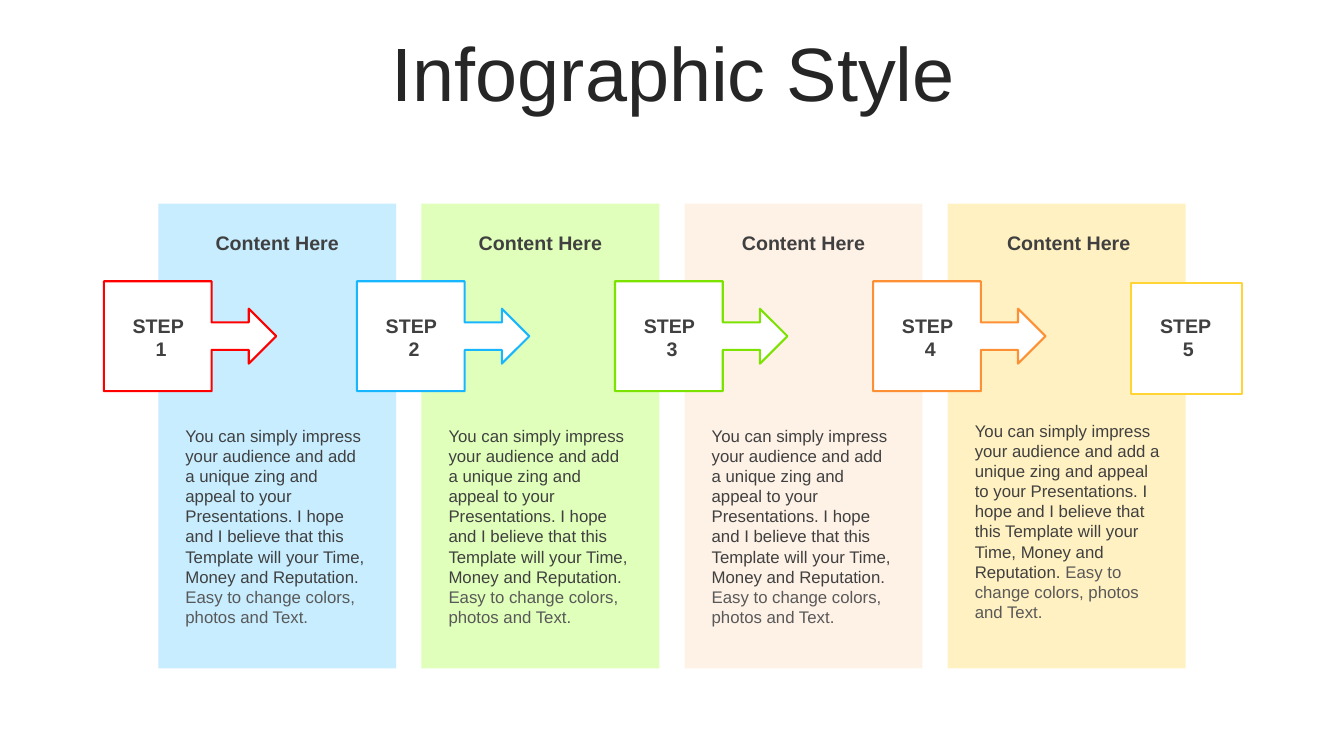
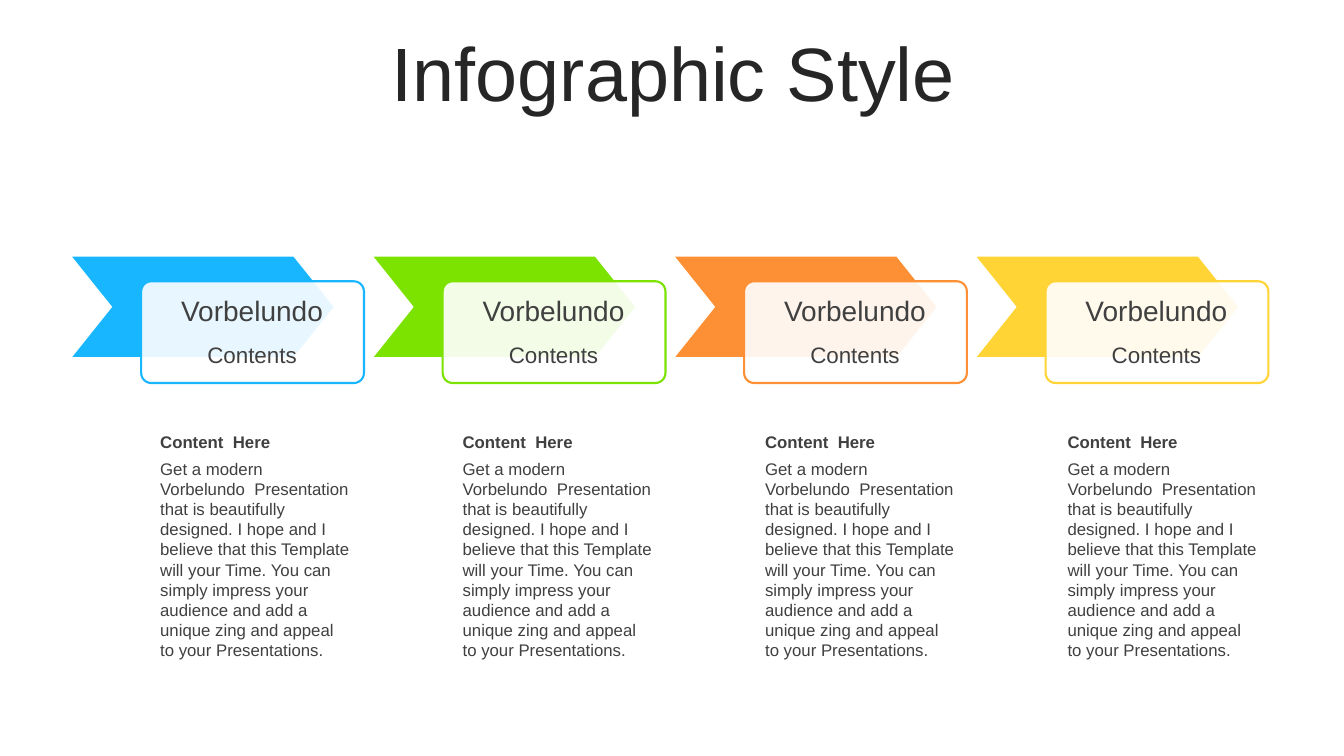
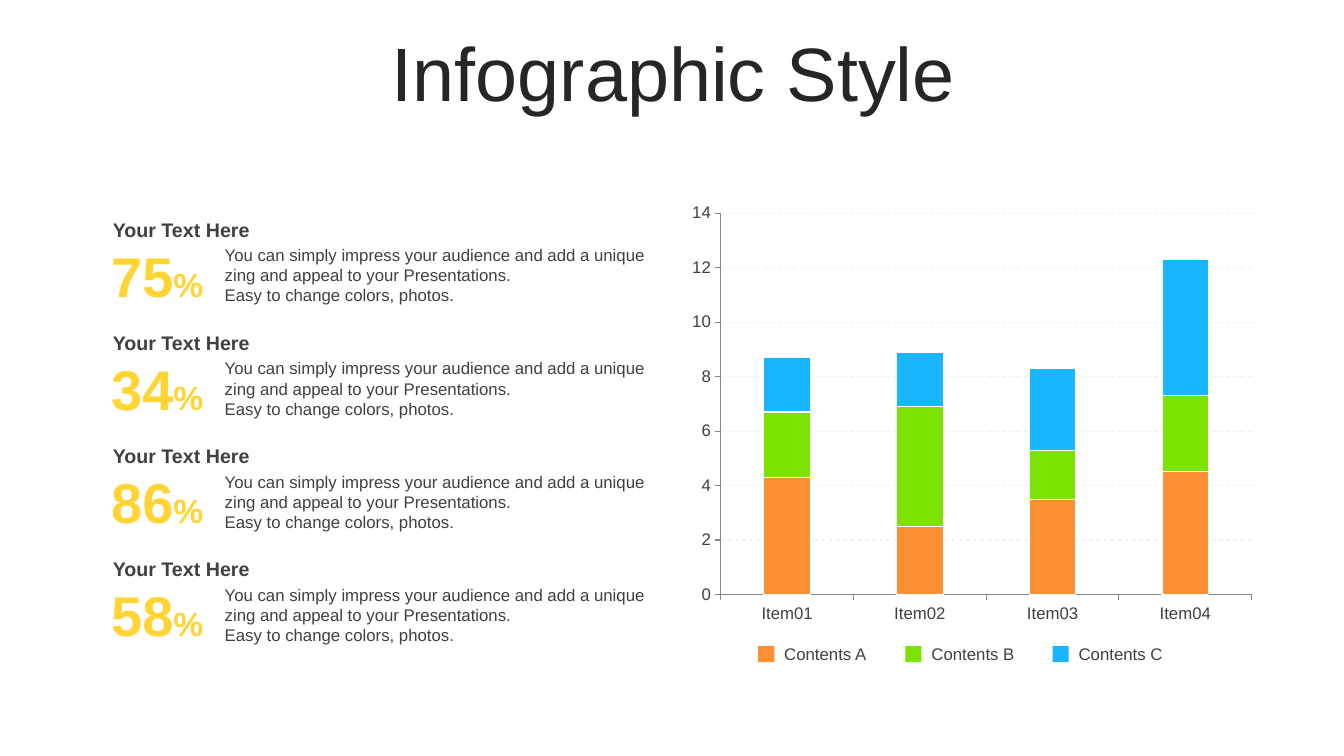
import dataclasses
from typing import Optional

import lxml.etree
import pptx
import pptx.chart.data
import pptx.dml.color
import pptx.enum.chart
import pptx.enum.dml
import pptx.enum.shapes
import pptx.enum.text
import pptx.oxml.ns
import pptx.util

Inches = pptx.util.Inches
Pt = pptx.util.Pt
SHAPES = pptx.enum.shapes.MSO_SHAPE
ALIGN = pptx.enum.text.PP_ALIGN
ANCHOR = pptx.enum.text.MSO_ANCHOR

FONT = "Arial"
COLORS = {
    "title": "262626", "text": "404040", "soft_text": "595959", "white": "FFFFFF",
    "red": "FF0000", "blue": "17B6FF", "green": "7CE200", "orange": "FD9034",
    "yellow": "FFD434", "pale_blue": "A2E2FF", "pale_green": "CCFF8D",
    "pale_orange": "FEBC85", "pale_yellow": "FFE585", "axis": "878787", "grid": "F2F2F2",
}


@dataclasses.dataclass(frozen=True)
class Box:
    left: float
    top: float
    width: float
    height: float

    def lengths(self) -> tuple:
        return tuple(Inches(value) for value in dataclasses.astuple(self))


@dataclasses.dataclass(frozen=True)
class Run:
    text: str
    size: float = 12
    color: str = "text"
    bold: bool = False
    outlined: bool = False


@dataclasses.dataclass(frozen=True)
class Card:
    color: str
    opacity: int
    heading_left: float
    body: Box


@dataclasses.dataclass(frozen=True)
class Step:
    left: float
    color: str


# Shared drawing
def rgb(color: str) -> pptx.dml.color.RGBColor:
    return pptx.dml.color.RGBColor.from_string(COLORS[color])


def style_font(font, size: float, color: str, bold: bool = False) -> None:
    font.name = FONT
    font.size = Pt(size)
    font.bold = bold
    font.color.rgb = rgb(color)


def add_runs(paragraph, runs: list[Run]) -> None:
    for item in runs:
        run = paragraph.add_run()
        run.text = item.text
        style_font(run.font, item.size, item.color, item.bold)
        if item.outlined:
            outline = lxml.etree.Element(pptx.oxml.ns.qn("a:ln"), w=str(Pt(0.75)))
            fill = lxml.etree.SubElement(outline, pptx.oxml.ns.qn("a:solidFill"))
            lxml.etree.SubElement(fill, pptx.oxml.ns.qn("a:srgbClr"), val=COLORS["white"])
            run.font._element.insert(0, outline)


def add_text(slide, box: Box, paragraphs: list[list[Run]], align=ALIGN.LEFT,
             anchor=ANCHOR.TOP, inset: Optional[float] = None) -> None:
    frame = slide.shapes.add_textbox(*box.lengths()).text_frame
    frame.word_wrap = True
    frame.auto_size = pptx.enum.text.MSO_AUTO_SIZE.SHAPE_TO_FIT_TEXT
    frame.vertical_anchor = anchor
    if inset is not None:
        frame.margin_left = frame.margin_right = Inches(inset)
        frame.margin_top = frame.margin_bottom = Inches(inset)
    for index, runs in enumerate(paragraphs):
        paragraph = frame.add_paragraph() if index else frame.paragraphs[0]
        paragraph.alignment = align
        add_runs(paragraph, runs)


def add_shape(slide, kind, box: Box, fill: str, opacity: int = 100,
              line: Optional[str] = None, line_width: float = 1.5,
              adjustments: tuple[float, ...] = ()) -> None:
    shape = slide.shapes.add_shape(kind, *box.lengths())
    shape.shadow.inherit = False
    for index, value in enumerate(adjustments):
        shape.adjustments[index] = value
    shape.fill.solid()
    shape.fill.fore_color.rgb = rgb(fill)
    if opacity < 100:
        tint = shape._element.spPr.find(".//" + pptx.oxml.ns.qn("a:srgbClr"))
        lxml.etree.SubElement(tint, pptx.oxml.ns.qn("a:alpha"), val=str(opacity * 1000))
    if line is None:
        shape.line.fill.background()
    else:
        shape.line.color.rgb = rgb(line)
        shape.line.width = Pt(line_width)


def add_titled_slide(deck):
    slide = deck.slides.add_slide(deck.slide_layouts[5])
    title = slide.shapes.title
    title.left, title.top, title.width, title.height = Box(0.35, 0.37, 12.66, 0.79).lengths()
    frame = title.text_frame
    frame.word_wrap = True
    frame.auto_size = pptx.enum.text.MSO_AUTO_SIZE.NONE
    frame.vertical_anchor = ANCHOR.MIDDLE
    paragraph = frame.paragraphs[0]
    paragraph.alignment = ALIGN.CENTER
    paragraph.line_spacing = 0.9
    add_runs(paragraph, [Run("Infographic Style", 54, "title")])
    return slide


# Slide 1: five steps across four cards
CARDS = [
    Card("pale_blue", 60, 1.74, Box(1.74, 4.17, 2.02, 2.12)),
    Card("pale_green", 60, 4.35, Box(4.35, 4.17, 2.02, 2.12)),
    Card("pale_orange", 20, 6.96, Box(6.96, 4.17, 2.02, 2.12)),
    Card("pale_yellow", 50, 9.59, Box(9.57, 4.12, 2.06, 2.12)),
]
STEPS = [Step(1.03, "red"), Step(3.54, "blue"), Step(6.1, "green"),
         Step(8.66, "orange"), Step(11.22, "yellow")]
CARD_BODY = [
    Run("You can simply impress your audience and add a unique zing and appeal to your "
        "Presentations. I hope and I believe that this Template will your Time, Money "
        "and Reputation. "),
    Run("Easy to change colors, photos and Text.", color="soft_text"),
]


def build_steps(deck) -> None:
    slide = add_titled_slide(deck)
    for index, card in enumerate(CARDS):
        add_shape(slide, SHAPES.RECTANGLE, Box(1.57 + 2.61 * index, 2.02, 2.36, 4.61),
                  card.color, card.opacity)
        add_text(slide, Box(card.heading_left, 2.24, 2.02, 0.34),
                 [[Run("Content Here", 14, bold=True)]], ALIGN.CENTER)
        add_text(slide, card.body, [CARD_BODY])
    for number, step in enumerate(STEPS, 1):
        if number < len(STEPS):
            add_shape(slide, SHAPES.RIGHT_ARROW_CALLOUT, Box(step.left, 2.79, 1.71, 1.09),
                      "white", line=step.color, adjustments=(0.25, 0.25, 0.25, 0.625))
        else:
            add_shape(slide, SHAPES.RECTANGLE, Box(step.left, 2.81, 1.1, 1.1),
                      "white", line=step.color)
        add_text(slide, Box(step.left + 0.13, 3.06, 0.82, 0.57),
                 [[Run("STEP", 14, bold=True)], [Run(f" {number}", 14, bold=True)]],
                 ALIGN.CENTER, ANCHOR.MIDDLE)


# Slide 2: four chevrons with labels
CHEVRON_COLORS = ["blue", "green", "orange", "yellow"]
CHEVRON_BODY = ("Get a modern Vorbelundo  Presentation that is beautifully designed. I hope "
                "and I believe that this Template will your Time. You can simply impress your "
                "audience and add a unique zing and appeal to your Presentations.")


def build_chevrons(deck) -> None:
    slide = add_titled_slide(deck)
    for index, color in enumerate(CHEVRON_COLORS):
        shift = 2.99 * index
        add_shape(slide, SHAPES.CHEVRON, Box(0.7 + shift, 2.54, 2.62, 1.01), color,
                  line="white", line_width=1, adjustments=(0.4,))
        add_shape(slide, SHAPES.ROUNDED_RECTANGLE, Box(1.4 + shift, 2.79, 2.21, 1.01),
                  "white", 90, line=color, adjustments=(0.1,))
        add_text(slide, Box(1.46 + shift, 2.86, 2.08, 0.44),
                 [[Run("Vorbelundo", 20)]], ALIGN.CENTER)
        add_text(slide, Box(1.46 + shift, 3.34, 2.08, 0.37),
                 [[Run("Contents", 16)]], ALIGN.CENTER)
        column = 1.49 + 3 * index
        add_text(slide, Box(column, 4.23, 2.09, 0.3),
                 [[Run("Content  Here", bold=True)]], anchor=ANCHOR.MIDDLE)
        add_text(slide, Box(column, 4.5, 2.09, 2.12), [[Run(CHEVRON_BODY)]])


# Slide 3: percentages beside a stacked column chart
PERCENTAGES = ["75", "34", "86", "58"]
ITEMS = ["Item01", "Item02", "Item03", "Item04"]
SERIES = [
    ("Series 1", (4.3, 2.5, 3.5, 4.5), "orange"),
    ("Series 2", (2.4, 4.4, 1.8, 2.8), "green"),
    ("Series 3", (2, 2, 3, 5), "blue"),
]


def add_item_chart(slide) -> None:
    items = pptx.chart.data.CategoryChartData()
    items.categories = ITEMS
    for name, values, _ in SERIES:
        items.add_series(name, values)
    chart = slide.shapes.add_chart(pptx.enum.chart.XL_CHART_TYPE.COLUMN_STACKED,
                                   *Box(6.75, 1.94, 5.78, 4.32).lengths(), items).chart
    chart.has_legend = False
    chart.has_title = False
    style_font(chart.font, 18, "text")

    columns = chart.plots[0]
    columns.gap_width = 185
    columns.overlap = 100
    columns.vary_by_categories = False
    for series, (_, _, color) in zip(columns.series, SERIES):
        series.format.fill.solid()
        series.format.fill.fore_color.rgb = rgb(color)
        series.format.line.color.rgb = rgb("white")
        series.format.line.width = Pt(0.75)

    for axis in (chart.category_axis, chart.value_axis):
        style_font(axis.tick_labels.font, 12, "text")
        axis.major_tick_mark = pptx.enum.chart.XL_TICK_MARK.OUTSIDE
        axis.minor_tick_mark = pptx.enum.chart.XL_TICK_MARK.NONE
        axis.format.line.color.rgb = rgb("axis")
        axis.format.line.width = Pt(0.75)
    chart.value_axis.minimum_scale = 0
    chart.value_axis.maximum_scale = 14
    chart.value_axis.major_unit = 2
    grid = chart.value_axis.major_gridlines.format.line
    grid.color.rgb = rgb("grid")
    grid.width = Pt(0.75)
    grid.dash_style = pptx.enum.dml.MSO_LINE.DASH


def build_percentages(deck) -> None:
    slide = add_titled_slide(deck)
    add_item_chart(slide)
    row_pitch = 3.37 / (len(PERCENTAGES) - 1)
    for index, value in enumerate(PERCENTAGES):
        top = 2.11 + row_pitch * index
        add_text(slide, Box(0.99, top + 0.28, 1.14, 0.67),
                 [[Run(value, 40, "yellow", True, True), Run("%", 24, "yellow", True, True)]],
                 ALIGN.CENTER, ANCHOR.MIDDLE, inset=0)
        add_text(slide, Box(1.02, top, 4.15, 0.34), [[Run("Your Text Here", 14, bold=True)]])
        add_text(slide, Box(2.13, top + 0.27, 4.38, 0.71), [
            [Run("You can simply impress your audience and add a unique zing and appeal "
                 "to your Presentations.")],
            [Run("Easy to change colors, photos.")],
        ])
    for index, (letter, (_, _, color)) in enumerate(zip("ABC", SERIES)):
        left = 7.52 + 1.46 * index
        add_shape(slide, SHAPES.RECTANGLE, Box(left, 6.41, 0.16, 0.16), color)
        add_text(slide, Box(left + 0.16, 6.34, 1.14, 0.3),
                 [[Run(f"Contents {letter}")]], anchor=ANCHOR.MIDDLE)


def main() -> None:
    deck = pptx.Presentation()
    deck.slide_width = Inches(13.33)
    deck.slide_height = Inches(7.5)
    build_steps(deck)
    build_chevrons(deck)
    build_percentages(deck)
    deck.save("out.pptx")


if __name__ == "__main__":
    main()
